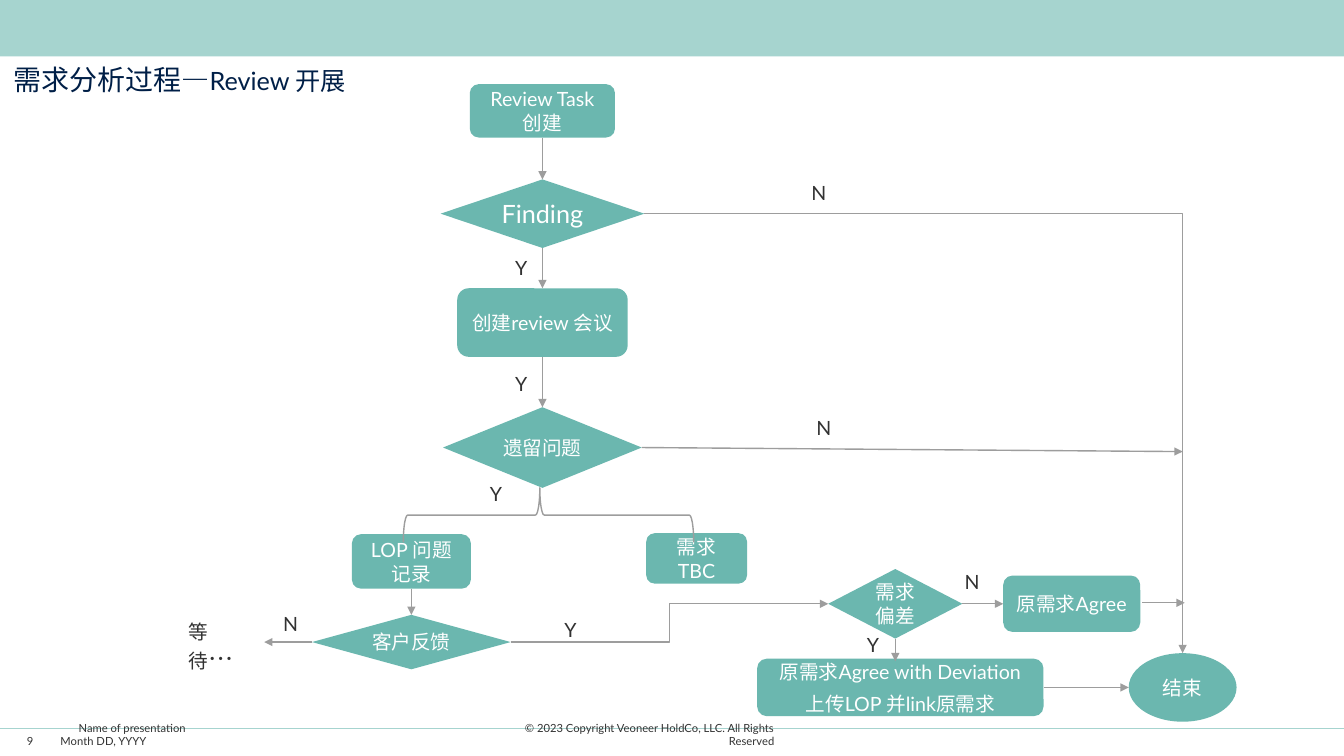
import pptx
import pptx.util
import pptx.dml.color
import pptx.enum.shapes
import pptx.enum.text
import pptx.oxml.ns
from lxml import etree

RGB = pptx.dml.color.RGBColor
BAND = RGB(0xA6, 0xD4, 0xCF)
TEAL = RGB(0x6B, 0xB7, 0xAF)
NAVY = RGB(0x00, 0x1F, 0x47)
INK = RGB(0x32, 0x32, 0x32)
GREY = RGB(0x9D, 0x9D, 0x9D)
WHITE = RGB(0xFF, 0xFF, 0xFF)
FONT = "Lato"
WIDTH, HEIGHT = 13.33, 7.5

SHAPE = pptx.enum.shapes.MSO_SHAPE
LINK = pptx.enum.shapes.MSO_CONNECTOR
ALIGN = pptx.enum.text.PP_ALIGN
ANCHOR = pptx.enum.text.MSO_ANCHOR
STEP, CHOICE, END = SHAPE.ROUNDED_RECTANGLE, SHAPE.FLOWCHART_DECISION, SHAPE.OVAL

TITLE = [("需求分析过程—", 20), ("Review 开展", 18)]

# Centres of the columns and rows of the flow
COLUMNS = {"lop": 4.08, "main": 5.38, "tbc": 6.91, "check": 8.88,
           "accept": 8.93, "agree": 10.63, "end": 11.73}
ROWS = {"task": 1.1, "finding": 2.12, "meeting": 3.2, "open": 4.44,
        "tbc": 5.54, "lop": 5.57, "check": 5.99, "feedback": 6.37, "end": 6.82}

# name: shape, column, row, width, height, font size, paragraphs
NODES = {
    "task": (STEP, "main", "task", 1.44, 0.53, 14, ["Review Task 创建"]),
    "finding": (CHOICE, "main", "finding", 2.02, 0.68, 18, ["Finding"]),
    "meeting": (STEP, "main", "meeting", 1.69, 0.68, 14, ["创建review 会议"]),
    "open": (CHOICE, "main", "open", 1.97, 0.8, 14, ["遗留问题"]),
    "tbc": (STEP, "tbc", "tbc", 1.0, 0.5, 14, ["需求TBC"]),
    "lop": (STEP, "lop", "lop", 1.18, 0.54, 14, ["LOP 问题记录"]),
    "feedback": (CHOICE, "lop", "feedback", 1.97, 0.54, 14, ["客户反馈"]),
    "check": (CHOICE, "check", "check", 1.33, 0.69, 14, ["需求偏差"]),
    "accept": (STEP, "accept", "end", 2.84, 0.57, 14,
               ["原需求Agree with Deviation", "上传LOP 并link原需求"]),
    "agree": (STEP, "agree", "check", 1.36, 0.56, 14, ["原需求Agree"]),
    "end": (END, "end", "end", 1.07, 0.68, 14, ["结束"]),
}

# Ends are (node, side) or a point in inches
LINKS = [
    ("bentConnector2", ("finding", "right"), ("end", "top")),
    ("line", ("open", "right"), (COLUMNS["end"], 4.48)),
    ("line", ("task", "bottom"), ("finding", "top")),
    ("line", ("finding", "bottom"), ("meeting", "top")),
    ("line", ("meeting", "bottom"), ("open", "top")),
    ("line", ("feedback", "left"), (2.62, ROWS["feedback"])),
    ("line", ("lop", "bottom"), ("feedback", "top")),
    ("line", ("check", "bottom"), (COLUMNS["check"], 6.56)),
    ("line", ("accept", "right"), ("end", "left")),
    ("line", ("check", "right"), ("agree", "left")),
    ("line", (11.33, 5.98), (11.75, 5.98)),
    ("bentConnector3", ("feedback", "right"), ("check", "left")),
]

# text, left, top
ANSWERS = [("Y", 5.01, 2.49), ("N", 8.0, 4.08), ("Y", 5.01, 3.64), ("N", 7.95, 1.75),
           ("Y", 4.76, 4.73), ("N", 2.71, 6.02), ("Y", 5.5, 6.08), ("Y", 8.5, 6.23),
           ("N", 9.47, 5.61)]
ANSWER_WIDTH = {"Y": 0.25, "N": 1.0}

# text, left, top, width, alignment
FOOTERS = [
    ("© 2023 Copyright Veoneer HoldCo, LLC. All Rights Reserved", 4.79, 7.29, 2.89, ALIGN.RIGHT),
    ("Month DD, YYYY", 0.6, 7.29, 0.95, ALIGN.LEFT),
    ("Name of presentation", 0.78, 7.16, 2.76, ALIGN.LEFT),
    ("9", 0.22, 7.29, 0.16, ALIGN.CENTER),
]


def inches(*values):
    return [pptx.util.Inches(value) for value in values]


def write(box, paragraphs, color, align, anchor, inset=None):
    """Fill a shape with paragraphs, each a list of (text, size) runs."""
    frame = box.text_frame
    settings = {"word_wrap": True, "vertical_anchor": anchor}
    if inset is not None:
        for side in ("left", "top", "right", "bottom"):
            settings["margin_" + side] = pptx.util.Inches(inset)
    for name, value in settings.items():
        setattr(frame, name, value)
    for index, spans in enumerate(paragraphs):
        para = frame.add_paragraph() if index else frame.paragraphs[0]
        para.alignment = align
        if index:
            para.space_before = pptx.util.Pt(6)
        for text, size in spans:
            span = para.add_run()
            span.text = text
            span.font.color.rgb = color
            for name, value in {"size": pptx.util.Pt(size), "name": FONT, "bold": False}.items():
                setattr(span.font, name, value)


def add_filled(page, kind, left, top, width, height, color):
    shape = page.shapes.add_shape(kind, *inches(left, top, width, height))
    shape.shadow.inherit = False
    shape.fill.solid()
    shape.fill.fore_color.rgb = color
    shape.line.fill.background()
    return shape


def add_label(page, spans, left, top, width, height, *style):
    box = page.shapes.add_textbox(*inches(left, top, width, height))
    write(box, [spans], *style)


def add_line(page, kind, start, finish, color, weight, arrow):
    route = LINK.STRAIGHT if kind == "line" else LINK.ELBOW
    line = page.shapes.add_connector(route, *inches(*start, *finish))
    line.line.color.rgb = color
    line.line.width = pptx.util.Pt(weight)
    qn = pptx.oxml.ns.qn
    properties = line._element.spPr
    properties.find(qn("a:prstGeom")).set("prst", kind)
    if arrow:
        etree.SubElement(properties.find(qn("a:ln")), qn("a:tailEnd"), type="triangle")
    etree.SubElement(properties, qn("a:effectLst"))


def locate(end):
    """Turn (node, side) into a point; points pass through."""
    if not isinstance(end[0], str):
        return end
    name, side = end
    column, row, width, height = NODES[name][1:5]
    across, down = {"left": (-0.5, 0), "right": (0.5, 0),
                    "top": (0, -0.5), "bottom": (0, 0.5)}[side]
    return COLUMNS[column] + across * width, ROWS[row] + down * height


def main():
    deck = pptx.Presentation()
    deck.slide_width, deck.slide_height = inches(WIDTH, HEIGHT)
    page = deck.slides.add_slide(deck.slide_layouts[5])

    add_filled(page, SHAPE.RECTANGLE, 0, 0, WIDTH, 0.56, BAND)
    add_line(page, "line", (0, 7.22), (WIDTH, 7.22), BAND, 0.25, False)
    for text, left, top, width, align in FOOTERS:
        add_label(page, [(text, 8)], left, top, width, 0.13, INK, align, ANCHOR.BOTTOM, 0)

    title = page.shapes.title
    title.left, title.top, title.width, title.height = inches(0.13, 0.66, 12.13, 0.3)
    write(title, [TITLE], NAVY, ALIGN.LEFT, ANCHOR.TOP, 0)
    title.text_frame.paragraphs[0].line_spacing = 0.9

    for kind, column, row, width, height, size, lines in NODES.values():
        node = add_filled(page, kind, COLUMNS[column] - width / 2, ROWS[row] - height / 2,
                          width, height, TEAL)
        write(node, [[(line, size)] for line in lines], WHITE, ALIGN.CENTER, ANCHOR.MIDDLE)

    brace = page.shapes.add_shape(SHAPE.LEFT_BRACE, *inches(5.17, 3.67, 0.54, 2.88))
    brace.rotation = 90
    brace.shadow.inherit = False
    brace.fill.background()
    brace.line.color.rgb = GREY
    brace.line.width = pptx.util.Pt(1)
    brace.adjustments[0], brace.adjustments[1] = 0.08, 0.53

    for kind, start, finish in LINKS:
        add_line(page, kind, locate(start), locate(finish), GREY, 1, True)
    plain = (INK, ALIGN.LEFT, ANCHOR.TOP)
    for text, left, top in ANSWERS:
        add_label(page, [(text, 14)], left, top, ANSWER_WIDTH[text], 0.34, *plain)
    add_label(page, [("等待", 14), ("…", 18)], 1.77, 6.1, 0.79, 0.4, *plain)
    deck.save("out.pptx")


if __name__ == "__main__":
    main()
